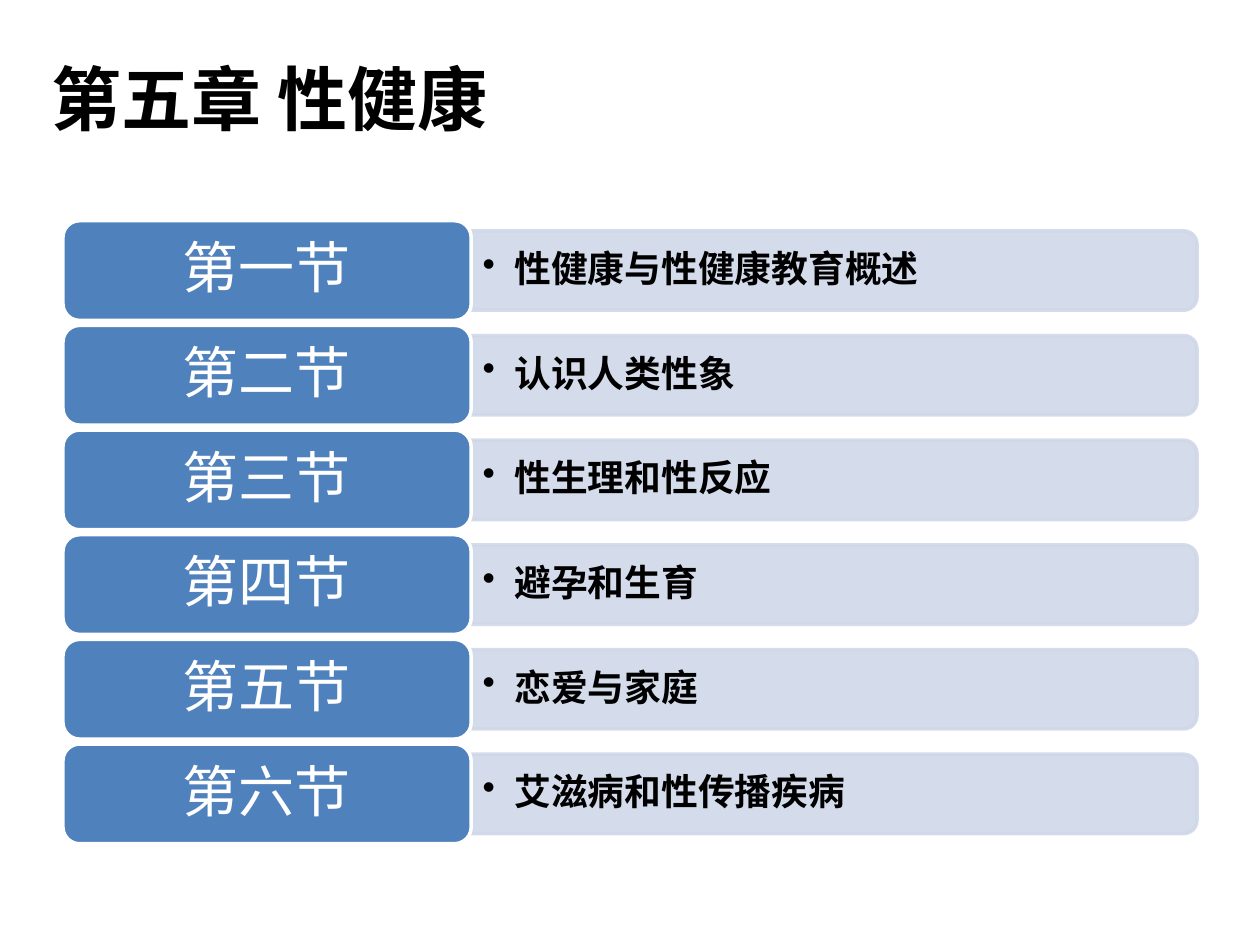
import pptx
import pptx.dml.color
import pptx.enum.shapes
import pptx.enum.text
import pptx.util
from lxml import etree

Cm = pptx.util.Cm
Pt = pptx.util.Pt
RGBColor = pptx.dml.color.RGBColor
Shape = pptx.enum.shapes.MSO_SHAPE
Anchor = pptx.enum.text.MSO_ANCHOR
Align = pptx.enum.text.PP_ALIGN
Fit = pptx.enum.text.MSO_AUTO_SIZE
qn = pptx.oxml.ns.qn

BLACK = RGBColor(0x00, 0x00, 0x00)
WHITE = RGBColor(0xFF, 0xFF, 0xFF)
BLUE = RGBColor(0x4F, 0x81, 0xBD)
PALE = RGBColor(0xD0, 0xD8, 0xE8)
HAN = "Noto Sans CJK SC"

TITLE = "第五章 性健康"
ROWS = [
    ("第一节", "性健康与性健康教育概述"),
    ("第二节", "认识人类性象"),
    ("第三节", "性生理和性反应"),
    ("第四节", "避孕和生育"),
    ("第五节", "恋爱与家庭"),
    ("第六节", "艾滋病和性传播疾病"),
]

# Grid in centimetres
LEFT, TOP, PITCH = 1.27, 4.45, 2.11
TAB_W, TAB_H = 8.23, 2.01
BAR_W, BAR_H = 14.63, 1.6


def apply(target, values):
    for name, value in values.items():
        setattr(target, name, value)


class Deck:
    head = {"name": HAN, "size": Pt(40), "bold": True}
    tab = {"name": "Calibri", "size": Pt(32), "bold": False}
    item = {"name": HAN, "size": Pt(21), "bold": True}

    def __init__(self):
        self.file = pptx.Presentation()
        apply(self.file, {"slide_width": Cm(25.4), "slide_height": Cm(19.05)})
        self.slide = self.file.slides.add_slide(self.file.slide_layouts[5])

    def words(self, shape, text, font, color, align, frame):
        """Fill one text frame and return its paragraph."""
        apply(shape.text_frame, frame)
        para = shape.text_frame.paragraphs[0]
        para.alignment = align
        run = para.add_run()
        run.text = text
        apply(run.font, font)
        run.font.color.rgb = color
        etree.SubElement(run._r.get_or_add_rPr(), qn("a:ea"), typeface=HAN)
        return para

    def title(self, text):
        box = self.slide.shapes.title
        apply(box, {"left": Cm(0.79), "top": Cm(0.99),
                    "width": Cm(9.8), "height": Cm(1.96)})
        self.words(box, text, self.head, BLACK, Align.LEFT, {
            "word_wrap": False, "auto_size": Fit.SHAPE_TO_FIT_TEXT,
            "vertical_anchor": Anchor.TOP})

    def block(self, kind, x, y, w, h, fill, line):
        shape = self.slide.shapes.add_shape(kind, Cm(x), Cm(y), Cm(w), Cm(h))
        shape.shadow.inherit = False
        shape.fill.solid()
        shape.fill.fore_color.rgb = fill
        shape.line.color.rgb = line
        shape.line.width = Pt(2)
        return shape

    def bar(self, x, mid):
        """Draw a pale bar, turned so that its round corners face right."""
        shape = self.block(Shape.ROUND_2_SAME_RECTANGLE,
                           x + (BAR_W - BAR_H) / 2, mid - BAR_W / 2,
                           BAR_H, BAR_W, PALE, PALE)
        shape.rotation = 90
        for color in shape._element.spPr.iter(qn("a:srgbClr")):
            etree.SubElement(color, qn("a:alpha"), val="90000")

    def bullet(self, x, mid, text):
        high = 1.45
        box = self.slide.shapes.add_textbox(
            Cm(x), Cm(mid - high / 2), Cm(14.55), Cm(high))
        para = self.words(box, text, self.item, BLACK, Align.LEFT, {
            "word_wrap": True, "vertical_anchor": Anchor.MIDDLE,
            "margin_left": Cm(0.23), "margin_right": Cm(0.23),
            "margin_top": Cm(0.1), "margin_bottom": Cm(0.1)})
        para.line_spacing = 0.9
        props = para._p.get_or_add_pPr()
        props.set("marL", str(int(Cm(0.64))))
        props.set("indent", str(int(Cm(-0.64))))
        etree.SubElement(props, qn("a:buChar"), char="•")

    def label(self, x, y, text):
        shape = self.block(Shape.ROUNDED_RECTANGLE, x, y, TAB_W, TAB_H,
                           BLUE, WHITE)
        para = self.words(shape, text, self.tab, WHITE, Align.CENTER, {
            "word_wrap": True, "vertical_anchor": Anchor.MIDDLE,
            "margin_left": Cm(0.43), "margin_right": Cm(0.43),
            "margin_top": Cm(0.28), "margin_bottom": Cm(0.28)})
        para.line_spacing = 0.9


def main():
    deck = Deck()

    # Chapter title
    deck.title(TITLE)

    # One row per section: bar, topic, label
    for i, (name, topic) in enumerate(ROWS):
        y = TOP + i * PITCH
        mid = y + TAB_H / 2
        deck.bar(LEFT + TAB_W, mid)
        deck.bullet(LEFT + TAB_W, mid, topic)
        deck.label(LEFT, y, name)

    deck.file.save("out.pptx")


if __name__ == "__main__":
    main()
